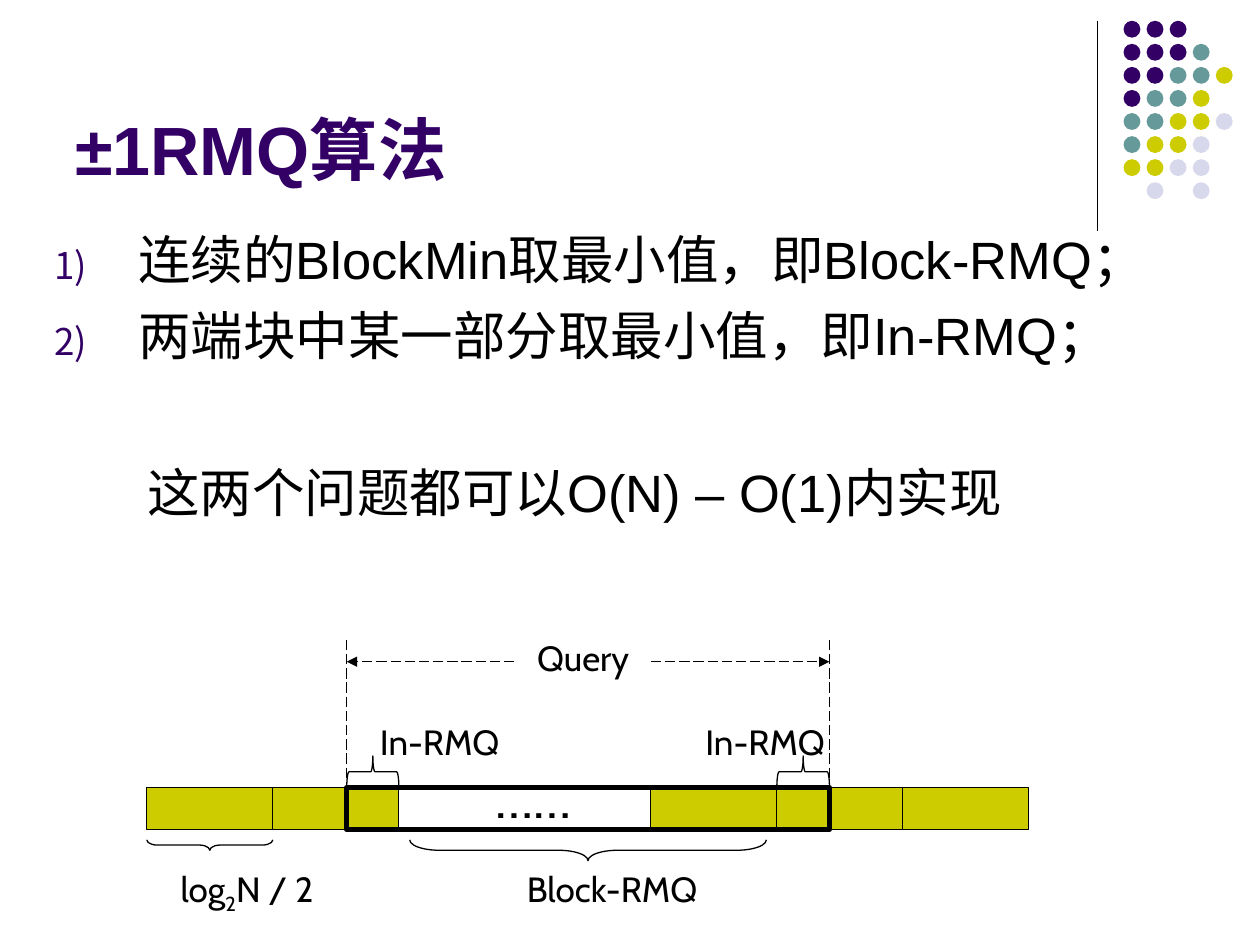
from dataclasses import dataclass

from lxml import etree
from pptx import Presentation
from pptx import util as u
from pptx.dml.color import RGBColor
from pptx.enum import dml, shapes, text
from pptx.oxml.ns import qn


@dataclass(frozen=True)
class Theme:
    ink: str = "000000"
    purple: str = "330066"
    teal: str = "669999"
    olive: str = "CCCC00"
    mist: str = "D8D8EC"
    body_font: str = "Arial"
    label_font: str = "Cabin"
    title_size: float = 39
    body_size: float = 30
    dots_size: float = 32
    label_size: float = 20
    thin: float = 0.75
    thick: float = 3


THEME = Theme()


# All positions below are in centimetres
@dataclass(frozen=True)
class Label:
    words: str
    left: float
    top: float
    width: float = 4.66
    height: float = 1.12
    size: float = THEME.label_size
    before: float = 12.5
    subscript: str = ""
    rest: str = ""


@dataclass(frozen=True)
class Brace:
    start: float
    end: float
    top: float
    depth: float
    curl: float
    rotation: int


@dataclass(frozen=True)
class Rule:
    start: tuple[float, float]
    end: tuple[float, float]
    dashed: bool = True
    arrow: bool = False


def apply(target, values: dict) -> None:
    for name, value in values.items():
        setattr(target, name, value)


def color(code: str) -> RGBColor:
    return RGBColor.from_string(code)


def draw_shape(slide, kind, left: float, top: float, width: float, height: float,
               fill: str = "", line: float = 0):
    shape = slide.shapes.add_shape(kind, *map(u.Cm, (left, top, width, height)))
    shape.shadow.inherit = False
    if fill:
        shape.fill.solid()
        shape.fill.fore_color.rgb = color(fill)
    else:
        shape.fill.background()
    if line:
        shape.line.color.rgb = color(THEME.ink)
        shape.line.width = u.Pt(line)
    else:
        shape.line.fill.background()
    return shape


def draw_rule(slide, rule: Rule) -> None:
    line = slide.shapes.add_connector(shapes.MSO_CONNECTOR.STRAIGHT,
                                      *map(u.Cm, rule.start + rule.end))
    line.line.color.rgb = color(THEME.ink)
    line.line.width = u.Pt(THEME.thin)
    if rule.dashed:
        line.line.dash_style = dml.MSO_LINE.LONG_DASH
    if rule.arrow:
        etree.SubElement(line.line._get_or_add_ln(), qn("a:tailEnd"), type="triangle")
    etree.SubElement(line._element.spPr, qn("a:effectLst"))


def draw_brace(slide, brace: Brace) -> None:
    span = brace.end - brace.start
    left = (brace.start + brace.end - brace.depth) / 2
    top = brace.top + (brace.depth - span) / 2
    shape = draw_shape(slide, shapes.MSO_SHAPE.LEFT_BRACE, left, top,
                       brace.depth, span, line=THEME.thin)
    shape.adjustments[0] = brace.curl
    shape.rotation = brace.rotation


def add_frame(slide, left: float, top: float, width: float, height: float, **values):
    frame = slide.shapes.add_textbox(*map(u.Cm, (left, top, width, height))).text_frame
    apply(frame, {"word_wrap": True, **values})
    return frame


def add_run(paragraph, words: str, font: str, size: float,
            ink: str = THEME.ink, bold: bool = False):
    run = paragraph.add_run()
    run.text = words
    apply(run.font, {"name": font, "size": u.Pt(size), "bold": bold})
    run.font.color.rgb = color(ink)
    return run


def draw_label(slide, label: Label) -> None:
    frame = add_frame(slide, label.left, label.top, label.width, label.height,
                      auto_size=text.MSO_AUTO_SIZE.SHAPE_TO_FIT_TEXT)
    paragraph = frame.paragraphs[0]
    paragraph.space_before = u.Pt(label.before)
    for words in filter(None, (label.words, label.subscript, label.rest)):
        run = add_run(paragraph, words, THEME.label_font, label.size)
        if words == label.subscript:
            run.font._element.set("baseline", "-25000")


def number_paragraph(paragraph, indent: float) -> None:
    properties = paragraph._p.get_or_add_pPr()
    properties.set("marL", str(u.Cm(indent)))
    properties.set("indent", str(-u.Cm(indent)))
    bullet_color = etree.SubElement(properties, qn("a:buClr"))
    etree.SubElement(bullet_color, qn("a:srgbClr"), val=THEME.purple)
    etree.SubElement(properties, qn("a:buSzPct"), val="70000")
    etree.SubElement(properties, qn("a:buAutoNum"), type="arabicParenR")


# Corner ornament
DOT_ROWS = ("PPP", "PPPT", "PPTTY", "PTTY", "TTYYL", "TYYL", "YYLL", " L L")
DOT_COLORS = {"P": THEME.purple, "T": THEME.teal, "Y": THEME.olive, "L": THEME.mist}
DOT_STEP = 0.93 / 2

# Array of blocks and the queried range
BLOCK, ROW_LEFT, ROW_TOP, ROW_HEIGHT = 2.54, 2.96, 15.88, 0.84
ROW_BOTTOM = ROW_TOP + ROW_HEIGHT
EDGES = [ROW_LEFT + BLOCK * n for n in range(8)]
QUERY_LEFT, QUERY_RIGHT = 6.99, 16.72
GUIDE_TOP, ARROW_Y = 12.9, 13.34

RULES = (
    *(Rule((EDGES[2], y), (EDGES[4], y)) for y in (ROW_TOP, ROW_BOTTOM)),
    *(Rule((x, GUIDE_TOP), (x, ROW_TOP)) for x in (QUERY_LEFT, QUERY_RIGHT)),
    Rule((10.37, ARROW_Y), (QUERY_LEFT, ARROW_Y), arrow=True),
    Rule((EDGES[4], ARROW_Y), (QUERY_RIGHT, ARROW_Y), arrow=True),
)
BRACES = (
    Brace(EDGES[0], EDGES[1], 16.93, 0.21, 1, 270),
    Brace(8.26, 15.45, 16.93, 0.42, 1.42, 270),
    Brace(QUERY_LEFT, EDGES[2], 15.24, 0.64, 0.07, 90),
    Brace(EDGES[5], QUERY_RIGHT, 15.24, 0.64, 0.07, 90),
)
LABELS = (
    Label("……", 9.74, 15.24, 2.96, 1.62, THEME.dots_size, 20),
    Label("Block-RMQ", 10.37, 17.36),
    Label("log", 3.39, 17.36, height=1.22, subscript="2", rest="N / 2"),
    Label("Query", 10.58, 12.7),
    Label("In-RMQ", 7.41, 14.39),
    Label("In-RMQ", 13.97, 14.39),
)
STEPS = ("连续的BlockMin取最小值，即Block-RMQ；", "两端块中某一部分取最小值，即In-RMQ；")


def main() -> None:
    deck = Presentation()
    apply(deck, {"slide_width": u.Cm(25.4), "slide_height": u.Cm(19.05)})
    slide = deck.slides.add_slide(deck.slide_layouts[6])

    # Ornament
    draw_rule(slide, Rule((22.12, 0.42), (22.12, 4.66), dashed=False))
    for row, pattern in enumerate(DOT_ROWS):
        for column, key in enumerate(pattern):
            if key in DOT_COLORS:
                draw_shape(slide, shapes.MSO_SHAPE.OVAL, 22.65 + column * DOT_STEP,
                           0.42 + row * DOT_STEP, 0.34, 0.34, DOT_COLORS[key])

    # Title
    title = add_frame(slide, 1.27, 0.34, 20.96, 3.6,
                      vertical_anchor=text.MSO_ANCHOR.BOTTOM)
    add_run(title.paragraphs[0], "±1RMQ算法", THEME.body_font, THEME.title_size,
            THEME.purple, bold=True)

    # Numbered steps and conclusion
    steps = add_frame(slide, 0.85, 4.45, 23.71, 3.6)
    for index, words in enumerate(STEPS):
        step = steps.add_paragraph() if index else steps.paragraphs[0]
        step.space_before = u.Pt(7.5)
        number_paragraph(step, 1.69)
        add_run(step, words, THEME.body_font, THEME.body_size)
    conclusion = add_frame(slide, 2.72, 9.14, 18.97, 1.65).paragraphs[0]
    conclusion.space_before = u.Pt(7.5)
    add_run(conclusion, "这两个问题都可以O(N) – O(1)内实现", THEME.body_font, THEME.body_size)

    # Block diagram
    for index in (0, 1, 4, 5, 6):
        draw_shape(slide, shapes.MSO_SHAPE.RECTANGLE, EDGES[index], ROW_TOP,
                   BLOCK, ROW_HEIGHT, THEME.olive, THEME.thin)
    for rule in RULES:
        draw_rule(slide, rule)
    draw_shape(slide, shapes.MSO_SHAPE.RECTANGLE, QUERY_LEFT, ROW_TOP,
               QUERY_RIGHT - QUERY_LEFT, ROW_HEIGHT, line=THEME.thick)
    for brace in BRACES:
        draw_brace(slide, brace)
    for label in LABELS:
        draw_label(slide, label)

    deck.save("out.pptx")


if __name__ == "__main__":
    main()
